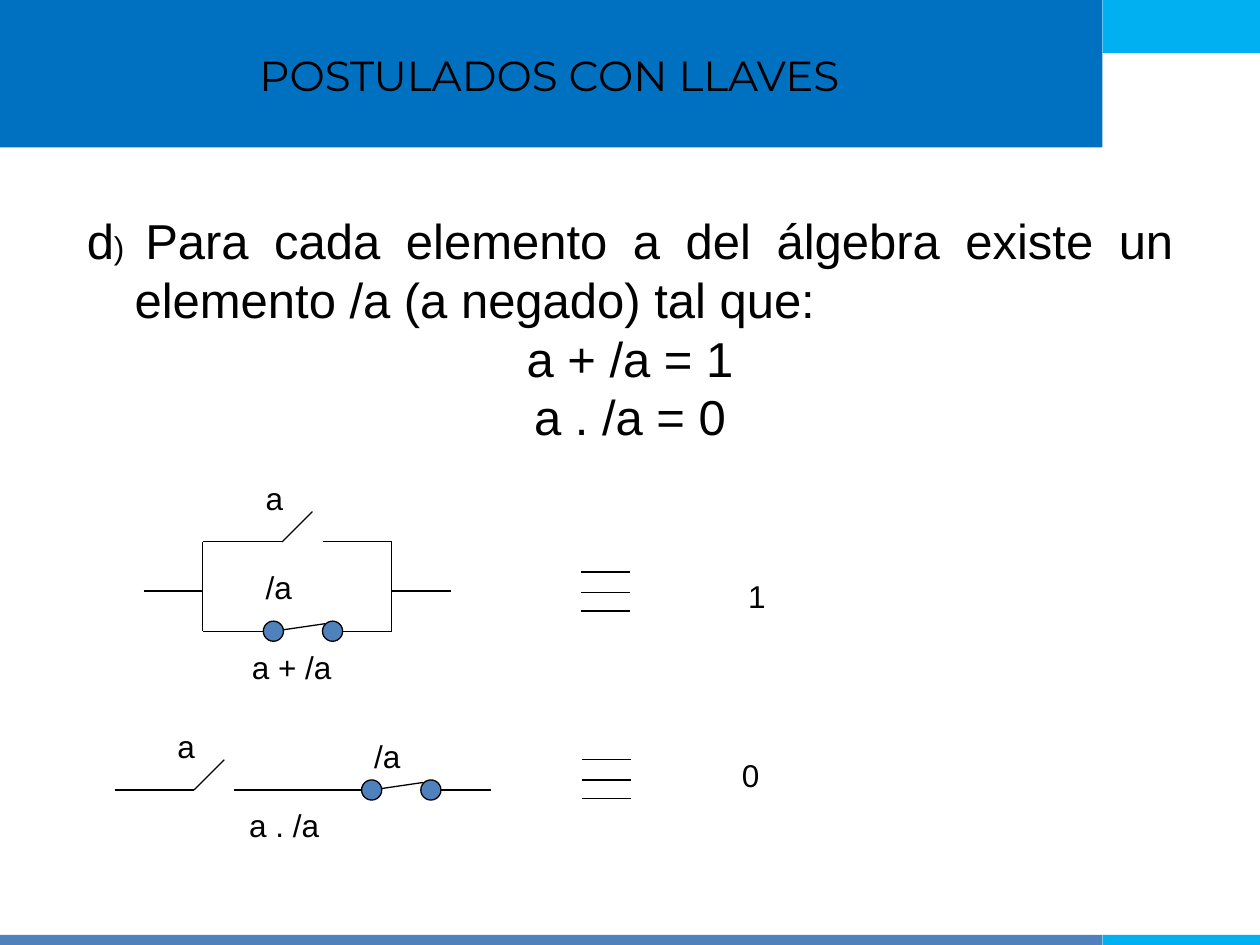
from pptx import Presentation
from pptx.dml.color import RGBColor
from pptx.enum import shapes, text
from pptx.oxml.ns import qn
from pptx.util import Inches, Pt
from lxml import etree

BLACK = RGBColor(0, 0, 0)
BLUE = RGBColor(0x00, 0x70, 0xC0)
CYAN = RGBColor(0x00, 0xB0, 0xF0)
STEEL = RGBColor(0x4F, 0x81, 0xBD)

deck = Presentation()
deck.slide_width, deck.slide_height = Inches(10), Inches(7.5)
slide = deck.slides.add_slide(deck.slide_layouts[6])
parts = slide.shapes


def wire(x1, y1, x2, y2):
    line = parts.add_connector(shapes.MSO_CONNECTOR.STRAIGHT,
                               Inches(x1), Inches(y1), Inches(x2), Inches(y2))
    line.line.color.rgb = BLACK
    line.line.width = Pt(0.75)
    etree.SubElement(line._element.spPr, qn("a:effectLst"))


def label(words, x, y, w, h=0.4, size=18, font="Arial", wrap=True):
    """Add a text box and return its text frame."""
    frame = parts.add_textbox(Inches(x), Inches(y), Inches(w), Inches(h)).text_frame
    frame.word_wrap = wrap
    frame.text = words
    for para in frame.paragraphs:
        para.font.size = Pt(size)
        para.font.name = font
        para.font.color.rgb = BLACK
    return frame


# Bands along the top and bottom
for x, y, w, h, fill in [(0, 0, 8.75, 1.17, BLUE), (8.75, 0, 1.25, 0.42, CYAN),
                         (0, 7.42, 8.75, 0.08, STEEL), (8.75, 7.42, 1.25, 0.08, CYAN)]:
    band = parts.add_shape(shapes.MSO_SHAPE.RECTANGLE,
                           Inches(x), Inches(y), Inches(w), Inches(h))
    band.shadow.inherit = False
    band.fill.solid()
    band.fill.fore_color.rgb = fill
    band.line.fill.background()

title = label("POSTULADOS CON LLAVES", 0.11, 0.11, 8.5, 0.97, 24, "Montserrat")
title.vertical_anchor = text.MSO_ANCHOR.MIDDLE
title.paragraphs[0].alignment = text.PP_ALIGN.CENTER

# Postulate
body = label("\na + /a = 1\na . /a = 0", 0.59, 1.62, 8.82, 1.99, 28)
rule = body.paragraphs[0]
for words, size in [("d", 28), (") ", 18),
                    ("Para cada elemento a del álgebra existe un "
                     "elemento /a (a negado) tal que:", 28)]:
    run = rule.add_run()
    run.text = words
    run.font.size = Pt(size)
for para in body.paragraphs:
    para.alignment = text.PP_ALIGN.CENTER
    props = para._p.get_or_add_pPr()
    props.set("marL", str(Inches(0.38)))
    props.set("indent", str(-Inches(0.38)))
rule.alignment = text.PP_ALIGN.JUSTIFY

# Open switches
for x, y in [(1.61, 4.3), (0.91, 6.27)]:
    wire(x, y, x + 0.63, y)
    wire(x + 0.63, y, x + 0.87, y - 0.24)
    wire(x + 0.95, y, x + 1.5, y)
    label("a", x + 0.4, y - 0.55, 0.55)

# Closed switches, with the leads on both sides
for start, x, y, end in [(1.61, 2.09, 5.01, 3.11), (2.4, 2.87, 6.27, 3.9)]:
    wire(start, y, x, y)
    wire(x + 0.63, y, end, y)
    wire(x + 0.08, y, x + 0.49, y - 0.06)
    for left in (x, x + 0.47):
        node = parts.add_shape(shapes.MSO_SHAPE.OVAL, Inches(left),
                               Inches(y - 0.08), Inches(0.16), Inches(0.16))
        node.shadow.inherit = False
        node.fill.solid()
        node.fill.fore_color.rgb = STEEL
        node.line.color.rgb = BLACK
        node.line.width = Pt(0.75)
label("/a", 2.01, 4.46, 0.55)
label("/a", 2.87, 5.8, 0.55)

# Sides and outer leads of the parallel circuit
for side, lead in [(1.61, 1.14), (3.11, 3.58)]:
    wire(side, 4.3, side, 5.01)
    wire(min(side, lead), 4.69, max(side, lead), 4.69)

# Equivalence signs
for x, y in [(4.61, 4.54), (4.62, 6.03)]:
    for drop in (0, 0.16, 0.31):
        wire(x, y + drop, x + 0.39, y + drop)

for words, x, y, w in [("a + /a", 1.9, 5.09, 0.85), ("a . /a", 1.88, 6.35, 0.83),
                       ("1", 5.84, 4.53, 0.34), ("0", 5.79, 5.95, 0.34)]:
    label(words, x, y, w, wrap=False)

deck.save("out.pptx")
